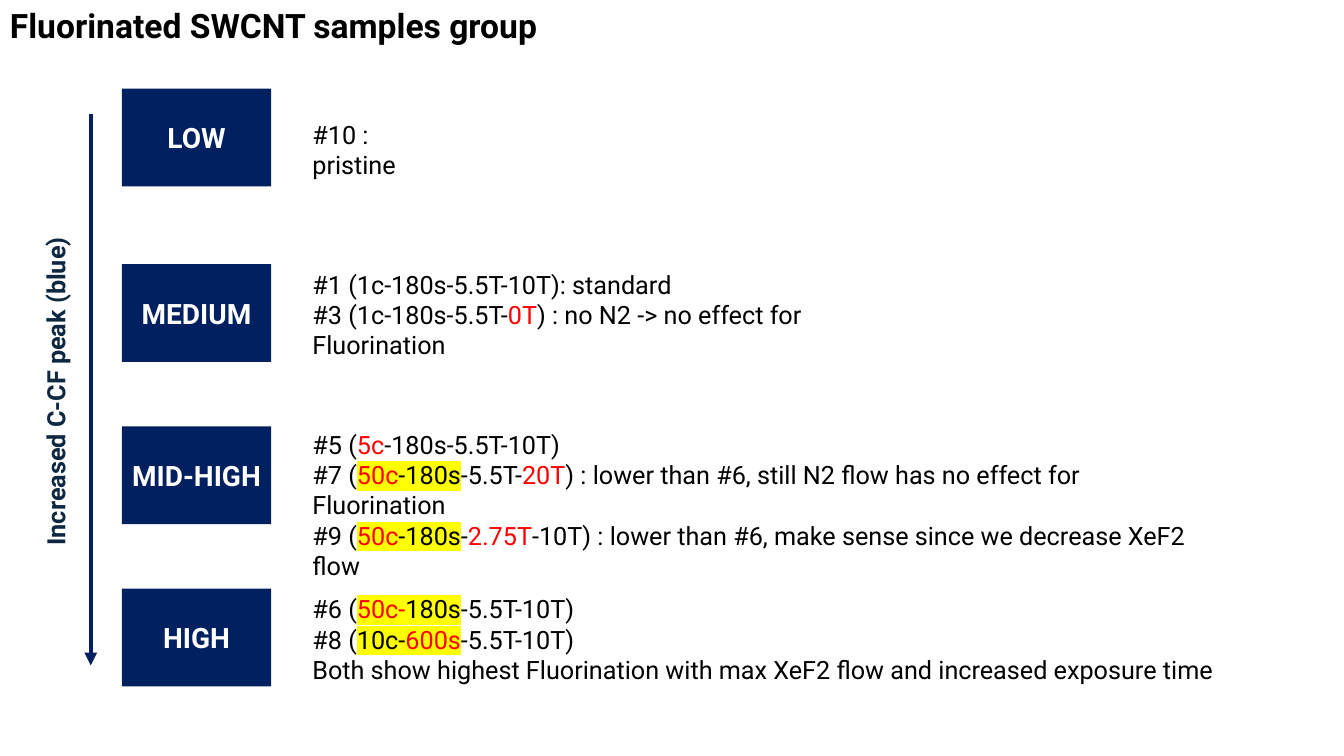
from lxml import etree
from pptx import Presentation
from pptx.dml.color import RGBColor
from pptx.enum.shapes import MSO_CONNECTOR, MSO_SHAPE
from pptx.enum.text import MSO_ANCHOR, MSO_AUTO_SIZE, PP_ALIGN
from pptx.oxml.ns import qn
from pptx.util import Inches, Pt

RECTANGLE = MSO_SHAPE.RECTANGLE
STRAIGHT = MSO_CONNECTOR.STRAIGHT
MIDDLE = MSO_ANCHOR.MIDDLE
CENTER = PP_ALIGN.CENTER
GROW = MSO_AUTO_SIZE.SHAPE_TO_FIT_TEXT

THEME = {
    "font": "Roboto",
    "navy": "002060", "label": "0E2841", "black": "000000",
    "white": "FFFFFF", "red": "FF0000", "yellow": "FFFF00",
    "title": 24, "level": 20, "body": 18,
}

# Grid: columns for the arrow, the level boxes and the notes
ARROW_X, LEVEL_X, NOTES_X = 0.9, 1.21, 3
LEVEL_WIDTH, LEVEL_HEIGHT = 1.48, 0.97
LOW_Y, MEDIUM_Y, ROW_STEP = 0.88, 2.62, 1.61
MID_HIGH_Y, HIGH_Y = MEDIUM_Y + ROW_STEP, MEDIUM_Y + 2 * ROW_STEP

# Span marks: R is red text, Y is yellow marker, RY is both
LEVELS = [
    ("LOW", LOW_Y, (1.13, 1.6, 0.4), [[("#10 : pristine", "")]]),
    ("MEDIUM", MEDIUM_Y, (MEDIUM_Y, 6.21, 0.71), [
        [("#1 (1c-180s-5.5T-10T): standard", "")],
        [("#3 (1c-180s-5.5T-", ""), ("0T", "R"),
         (") : no N2 -> no effect for Fluorination", "")],
    ]),
    ("MID-HIGH", MID_HIGH_Y, (4.21, 9.02, 1.01), [
        [("#5 (", ""), ("5c", "R"), ("-180s-5.5T-10T)", "")],
        [("#7 (", ""), ("50c", "RY"), ("-180s", "Y"), ("-5.5T-", ""), ("20T", "R"),
         (") : lower than #6, still N2 flow has no effect for Fluorination", "")],
        [("#9 (", ""), ("50c", "RY"), ("-180s", "Y"), ("-", ""), ("2.75T", "R"),
         ("-10T) : lower than #6, make sense since we decrease XeF2 flow", "")],
    ]),
    ("HIGH", HIGH_Y, (HIGH_Y, 9.77, 1.01), [
        [("#6 (", ""), ("50c-", "RY"), ("180s", "Y"), ("-5.5T-10T)", "")],
        [("#8 (", ""), ("10c-", "Y"), ("600s", "RY"), ("-5.5T-10T)", "")],
        [("Both show highest Fluorination with max XeF2 flow "
          "and increased exposure time", "")],
    ]),
]


def write_lines(frame, lines, size, color, bold=False):
    """Fill a text frame with one paragraph per line of marked spans."""
    for index, line in enumerate(lines):
        para = frame.add_paragraph() if index else frame.paragraphs[0]
        para.font.name = THEME["font"]
        para.font.size = Pt(THEME[size])
        para.font.bold = bold
        para.font.color.rgb = RGBColor.from_string(THEME[color])
        for text, marks in line:
            span = para.add_run()
            span.text = text
            if "R" in marks:
                span.font.color.rgb = RGBColor.from_string(THEME["red"])
            if "Y" in marks:
                properties = span._r.get_or_add_rPr()
                marker = etree.SubElement(properties, qn("a:highlight"))
                etree.SubElement(marker, qn("a:srgbClr"), val=THEME["yellow"])


def add_text(page, area, lines, size, color, bold=False):
    """Add a growing text box at left, top, width, height in inches."""
    box = page.shapes.add_textbox(*map(Inches, area))
    box.text_frame.word_wrap = True
    box.text_frame.auto_size = GROW
    write_lines(box.text_frame, lines, size, color, bold)
    return box


deck = Presentation()
deck.slide_width, deck.slide_height = Inches(13.33), Inches(7.5)
page = deck.slides.add_slide(deck.slide_layouts[6])
navy = RGBColor.from_string(THEME["navy"])

# Title
add_text(page, (0, 0, 5.54, 0.5), [[("Fluorinated SWCNT samples group", "")]],
         "title", "black", bold=True)

# Level boxes with their notes
for name, top, (notes_top, notes_width, notes_height), notes in LEVELS:
    level = page.shapes.add_shape(
        RECTANGLE, *map(Inches, (LEVEL_X, top, LEVEL_WIDTH, LEVEL_HEIGHT)))
    level.shadow.inherit = False
    level.fill.solid()
    level.fill.fore_color.rgb = navy
    level.line.fill.background()
    level.text_frame.vertical_anchor = MIDDLE
    write_lines(level.text_frame, [[(name, "")]], "level", "white", bold=True)
    level.text_frame.paragraphs[0].alignment = CENTER
    add_text(page, (NOTES_X, notes_top, notes_width, notes_height), notes,
             "body", "black")

# Downward arrow
arrow = page.shapes.add_connector(
    STRAIGHT, *map(Inches, (ARROW_X, 1.13, ARROW_X, 6.6)))
arrow.line.color.rgb = navy
arrow.line.width = Pt(3)
etree.SubElement(arrow.line._get_or_add_ln(), qn("a:tailEnd"), type="triangle")
etree.SubElement(arrow._element.spPr, qn("a:effectLst"))

# Arrow label, reading upwards
arrow_label = add_text(page, (-1.1, 3.66, 3.3, 0.4),
                       [[("Increased C-CF peak (blue)", "")]],
                       "body", "label", bold=True)
arrow_label.rotation = 270

deck.save("out.pptx")
